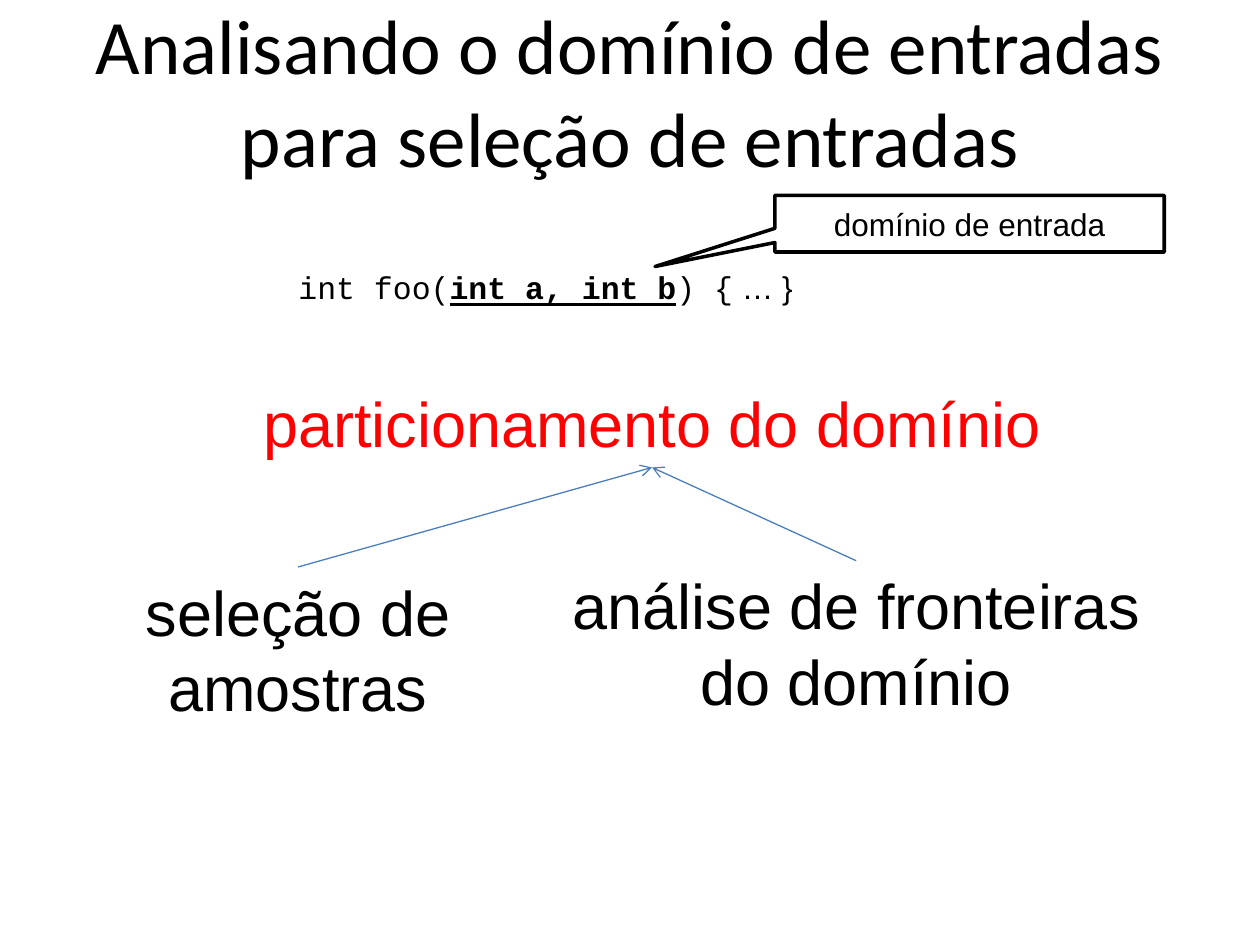
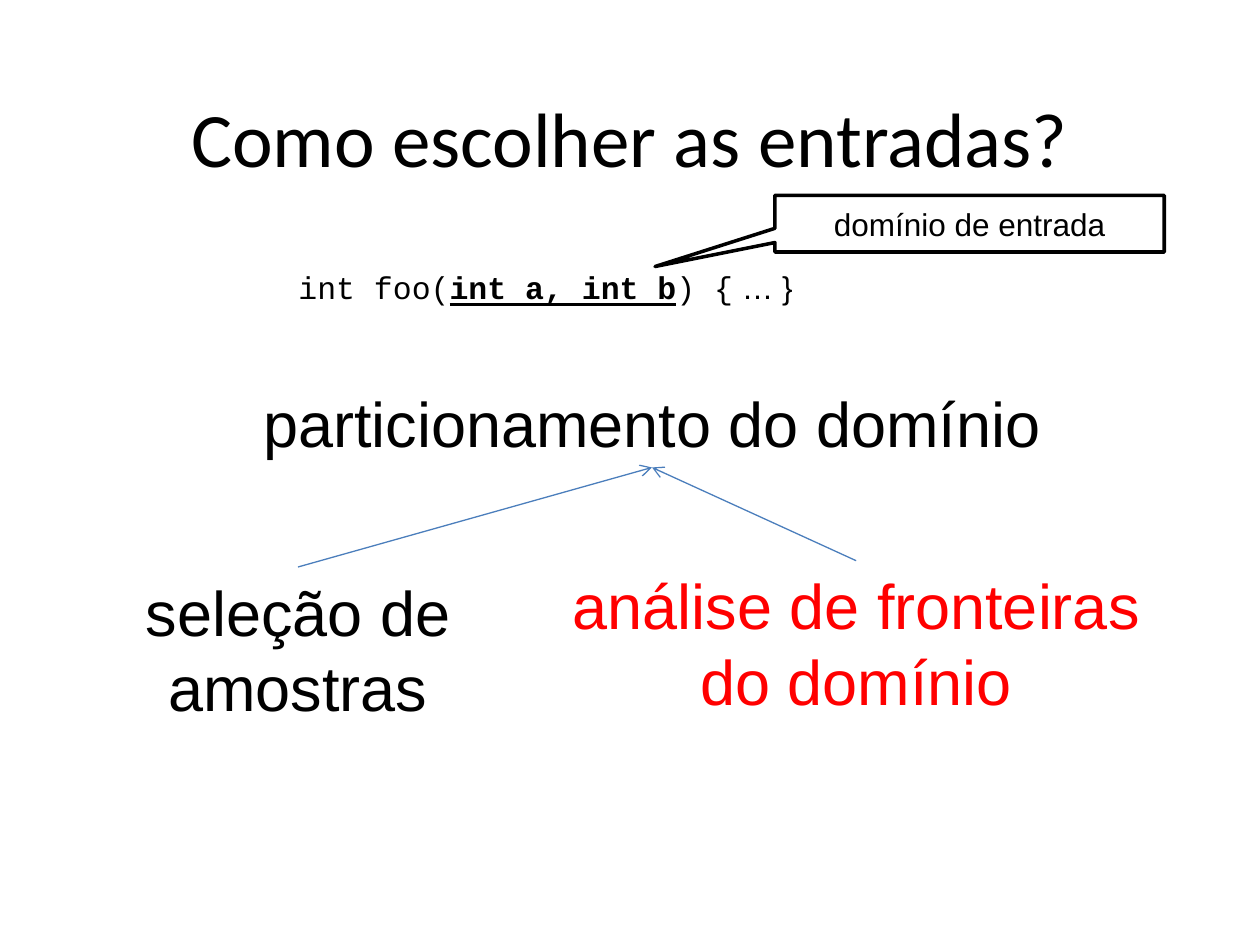
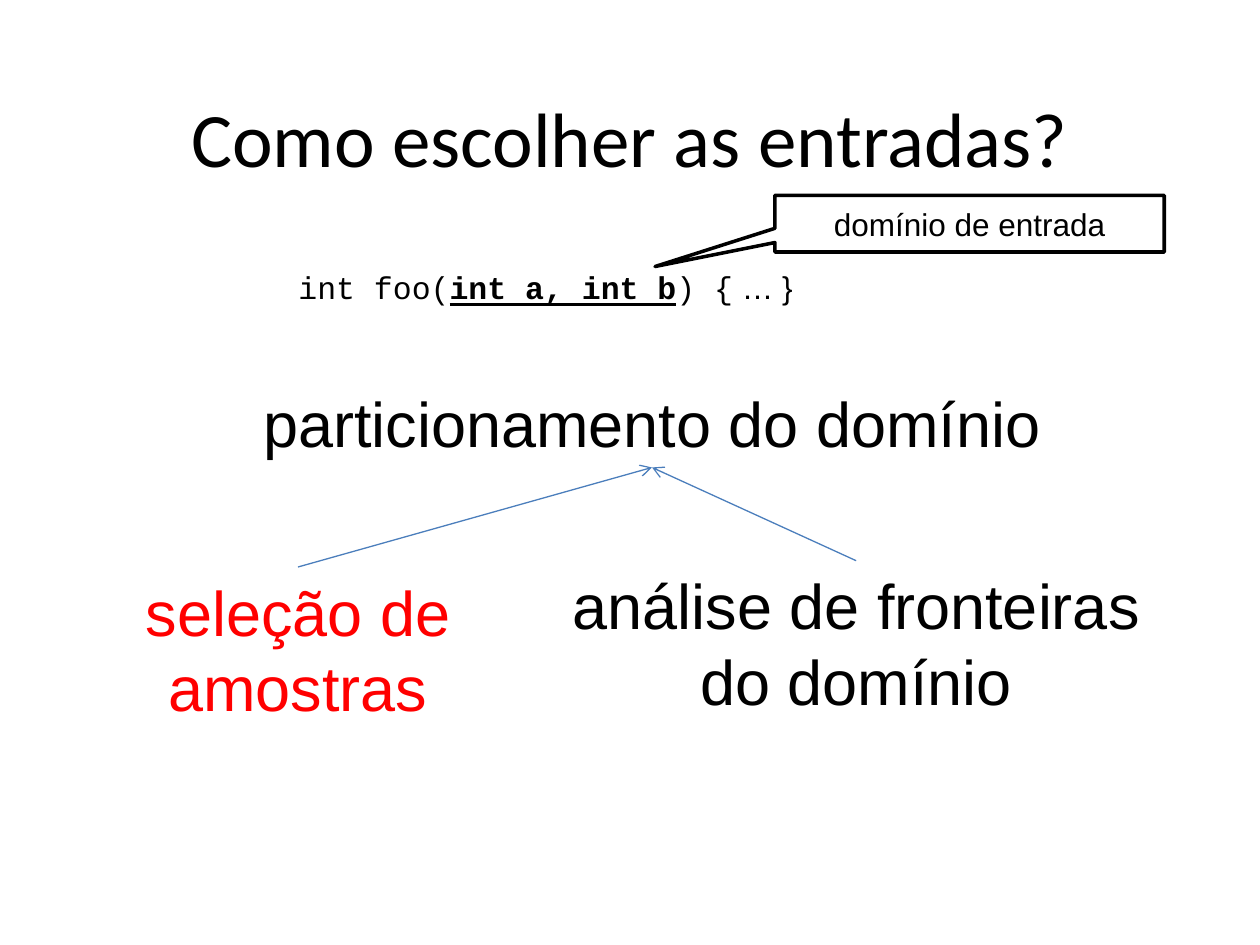
"""Builds three slides on partitioning an input domain, each with its own highlighted idea."""
from lxml import etree
from pptx import Presentation, util as u
from pptx.dml.color import RGBColor
from pptx.enum import shapes, text
from pptx.oxml.ns import qn

BLACK, WHITE, RED, BLUE = "000000", "FFFFFF", "FF0000", "4B7EBC"
SLIDES = [
    ("Analisando o domínio de entradas para seleção de entradas", "partition"),
    ("Como escolher as entradas?", "borders"),
    ("Como escolher as entradas?", "samples"),
]
IDEAS = {
    "samples": (["seleção de amostras"], (0.56, 4.5, 3.61, 1.31), True),
    "partition": (["particionamento do domínio"], (1.96, 3, 6.43, 0.71), False),
    "borders": (["análise de fronteiras", "do domínio"], (4.42, 4.45, 4.75, 1.31), False),
}
ARROWS = [("samples", "partition"), ("borders", "partition")]
TITLE_BOX = (0.5, 0.3, 9, 1.25)
CODE_BOX = (2.27, 2.08, 5, 0.4)
CODE = [
    ("int foo(", {"name": "Courier New"}),
    ("int a, int b", {"name": "Courier New", "bold": True, "underline": True}),
    (") {", {"name": "Courier New"}),
    (" … }", {"name": "Arial"}),
]
CALLOUT_BOX = (6.15, 1.55, 3.09, 0.45)
CALLOUT_TIP = (-0.808, 0.757)


def rgb(value):
    return RGBColor.from_string(value)


def inches(values):
    return [u.Inches(v) for v in values]


def write(sp, paragraphs, size, color=BLACK, align=text.PP_ALIGN.CENTER, **frame):
    tf = sp.text_frame
    for key, value in {"word_wrap": True, **frame}.items():
        setattr(tf, key, value)
    for i, runs in enumerate(paragraphs):
        p = tf.paragraphs[0] if i == 0 else tf.add_paragraph()
        p.alignment = align
        for words, fmt in runs:
            r = p.add_run()
            r.text = words
            for key, value in {"size": u.Pt(size), **fmt}.items():
                setattr(r.font, key, value)
            r.font.color.rgb = rgb(color)


def add_text(s, box, paragraphs, size, **options):
    sp = s.shapes.add_textbox(*inches(box))
    write(sp, paragraphs, size, **options)
    return sp


def add_callout(s):
    sp = s.shapes.add_shape(shapes.MSO_SHAPE.RECTANGULAR_CALLOUT, *inches(CALLOUT_BOX))
    for i, value in enumerate(CALLOUT_TIP):
        sp.adjustments[i] = value
    sp.shadow.inherit = False
    sp.fill.solid()
    sp.fill.fore_color.rgb = rgb(WHITE)
    sp.line.color.rgb = rgb(BLACK)
    sp.line.width = u.Pt(2)
    write(sp, [[("domínio de entrada", {"name": "Arial"})]], 18,
          vertical_anchor=text.MSO_ANCHOR.MIDDLE)


def add_arrow(s, start, end):
    cx = s.shapes.add_connector(shapes.MSO_CONNECTOR.STRAIGHT, 0, 0, 0, 0)
    cx.begin_connect(start, 0)
    cx.end_connect(end, 2)
    cx.line.color.rgb = rgb(BLUE)
    cx.line.width = u.Pt(0.75)
    etree.SubElement(cx.line._get_or_add_ln(), qn("a:tailEnd"), type="arrow")
    etree.SubElement(cx._element.spPr, qn("a:effectLst"))


def add_slide(prs, title, highlight):
    s = prs.slides.add_slide(prs.slide_layouts[6])
    grow = text.MSO_AUTO_SIZE.SHAPE_TO_FIT_TEXT
    add_text(s, TITLE_BOX, [[(title, {"name": "Calibri"})]], 44,
             vertical_anchor=text.MSO_ANCHOR.BOTTOM,
             margin_top=u.Inches(0.1), margin_bottom=u.Inches(0.1))
    add_text(s, CODE_BOX, [CODE], 18, align=text.PP_ALIGN.LEFT, auto_size=grow)
    ideas = {}
    for key, (lines, box, wrap) in IDEAS.items():
        paragraphs = [[(line, {"name": "Arial"})] for line in lines]
        ideas[key] = add_text(s, box, paragraphs, 36, color=RED if key == highlight else BLACK,
                              word_wrap=wrap, auto_size=grow)
    add_callout(s)
    for start, end in ARROWS:
        add_arrow(s, ideas[start], ideas[end])


def main():
    prs = Presentation()
    prs.slide_width, prs.slide_height = inches((10, 7.5))
    for title, highlight in SLIDES:
        add_slide(prs, title, highlight)
    prs.save("out.pptx")


if __name__ == "__main__":
    main()
